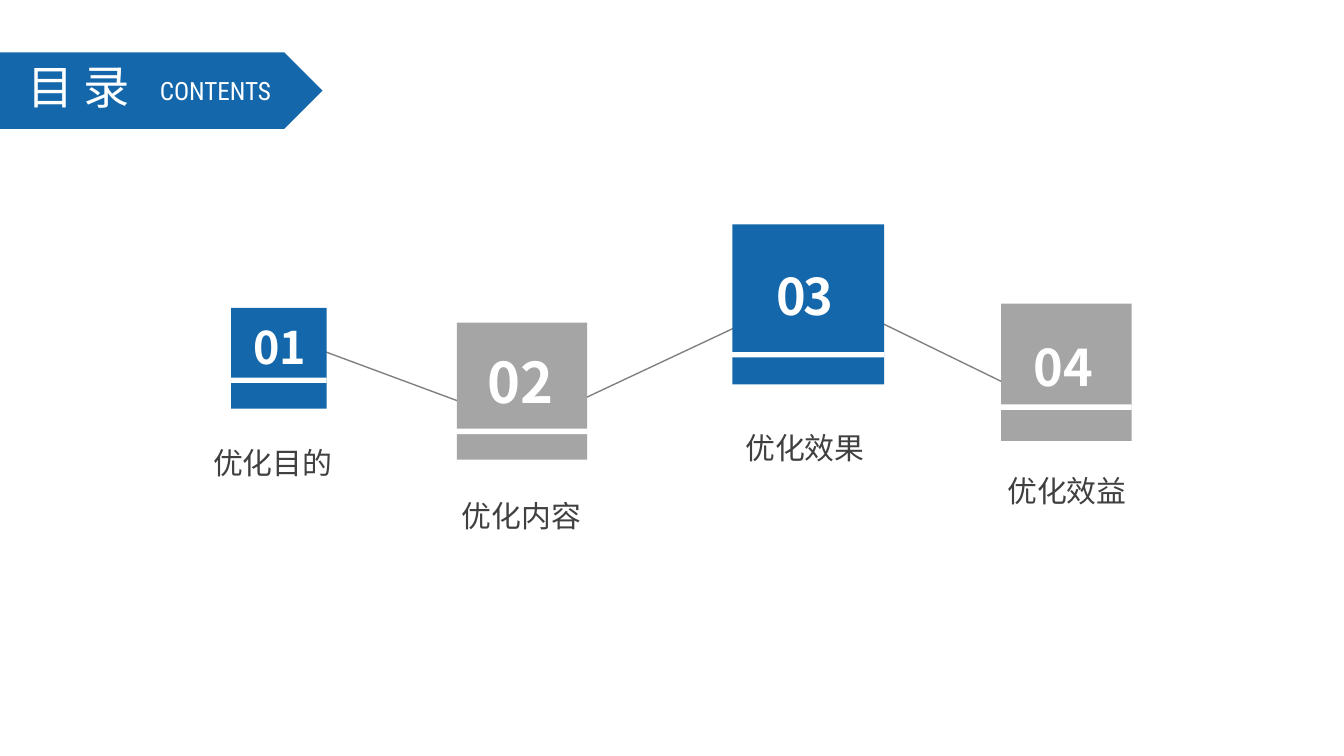
from lxml import etree
from pptx import Presentation
from pptx.dml.color import RGBColor
from pptx.enum.shapes import MSO_CONNECTOR, MSO_SHAPE
from pptx.enum.text import MSO_ANCHOR, MSO_AUTO_SIZE, PP_ALIGN
from pptx.oxml.ns import qn
from pptx.util import Inches, Pt

COLORS = {"blue": "1367AA", "gray": "A5A5A5", "line": "808080",
          "text": "404040", "white": "FFFFFF"}
CJK, LATIN = "Noto Sans CJK SC", "Roboto Condensed"

# box (left, top, width, height), color, number, number box and size,
# strip (left, top, width), spacing, label and label position
STEPS = [
    ((1.72, 2.29, 0.71, 0.75), "blue", "01", (0.03, 0.04, 0.66, 0.5), 24,
     (0, 0.52, 0.71), 0, "优化目的", (-0.42, 1.02)),
    ((3.4, 2.4, 0.97, 1.02), "gray", "02", (0.01, 0.14, 0.92, 0.61), 30,
     (-0.01, 0.79, 0.98), 0, "优化内容", (-0.25, 1.3)),
    ((5.45, 1.67, 1.13, 1.19), "blue", "03", (0.22, 0.25, 0.64, 0.56), 27,
     (-0.05, 0.95, 1.18), -1.1, "优化效果", (-0.19, 1.53)),
    ((7.45, 2.26, 0.97, 1.02), "gray", "04", (0.13, 0.19, 0.67, 0.56), 27,
     (0, 0.75, 0.97), 0, "优化效益", (-0.24, 1.26)),
]
PATH_POINTS = [(2.4, 2.61), (3.91, 3.17), (6.06, 2.16), (7.68, 2.95)]


def rgb(name):
    return RGBColor.from_string(COLORS[name])


def add_block(s, shape, box, color):
    sp = s.shapes.add_shape(shape, *map(Inches, box))
    sp.shadow.inherit = False
    sp.fill.solid()
    sp.fill.fore_color.rgb = rgb(color)
    sp.line.fill.background()


def write(sp, text, size, color, font=CJK, bold=False, align=PP_ALIGN.CENTER,
          insets=(0.1, 0.05), spacing=0, wrap=True):
    tf = sp.text_frame
    tf.auto_size = MSO_AUTO_SIZE.NONE
    tf.word_wrap = wrap
    tf.vertical_anchor = MSO_ANCHOR.TOP
    tf.margin_left = tf.margin_right = Inches(insets[0])
    tf.margin_top = tf.margin_bottom = Inches(insets[1])
    p = tf.paragraphs[0]
    p.alignment = align
    r = p.add_run()
    r.text = text
    r.font.size, r.font.bold, r.font.name = Pt(size), bold, font
    r.font.color.rgb = rgb(color)
    rPr = r._r.get_or_add_rPr()
    etree.SubElement(rPr, qn("a:ea")).set("typeface", font)
    if spacing:
        rPr.set("spc", str(round(spacing * 100)))


def add_text(s, box, *args, **kwargs):
    write(s.shapes.add_textbox(*map(Inches, box)), *args, **kwargs)


def add_banner(s, x, y, w, h):
    add_block(s, MSO_SHAPE.PENTAGON, (x, y, w, h), "blue")
    title = s.shapes.title
    title.left, title.top, title.width, title.height = map(
        Inches, (x + 0.1, y + 0.01, 0.97, 0.47))
    write(title, "目 录", 24.8, "white", insets=(0.06, 0.03))
    # Bring the title in front of the banner
    title.element.getparent().append(title.element)
    add_text(s, (x + 1.13, y + 0.14, 1.15, 0.28), "CONTENTS", 13.5, "white",
             font=LATIN, align=PP_ALIGN.LEFT, insets=(0.06, 0.03))


def add_path(s, points):
    for start, end in zip(points, points[1:]):
        line = s.shapes.add_connector(MSO_CONNECTOR.STRAIGHT,
                                      *map(Inches, start + end))
        line.line.color.rgb = rgb("line")
        line.line.width = Pt(0.75)
        etree.SubElement(line.element.spPr, qn("a:effectLst"))


def add_step(s, box, color, number, number_box, size, strip, spacing,
             label, label_pos):
    """Numbered block with a white strip and a label below; offsets are from the block."""
    x, y = box[:2]
    add_block(s, MSO_SHAPE.RECTANGLE, box, color)
    dx, dy, w, h = number_box
    add_text(s, (x + dx, y + dy, w, h), number, size, "white", bold=True,
             spacing=spacing, wrap=False)
    dx, dy, w = strip
    add_block(s, MSO_SHAPE.RECTANGLE, (x + dx, y + dy, w, 0.04), "white")
    dx, dy = label_pos
    add_text(s, (x + dx, y + dy, 1.46, 0.27), label, 16, "text",
             insets=(0.07, 0))


def main():
    prs = Presentation()
    prs.slide_width = Inches(10)
    prs.slide_height = prs.slide_width * 9 // 16
    s = prs.slides.add_slide(prs.slide_layouts[5])
    add_banner(s, 0, 0.39, 2.4, 0.57)
    add_path(s, PATH_POINTS)
    for step in STEPS:
        add_step(s, *step)
    prs.save("out.pptx")


if __name__ == "__main__":
    main()
